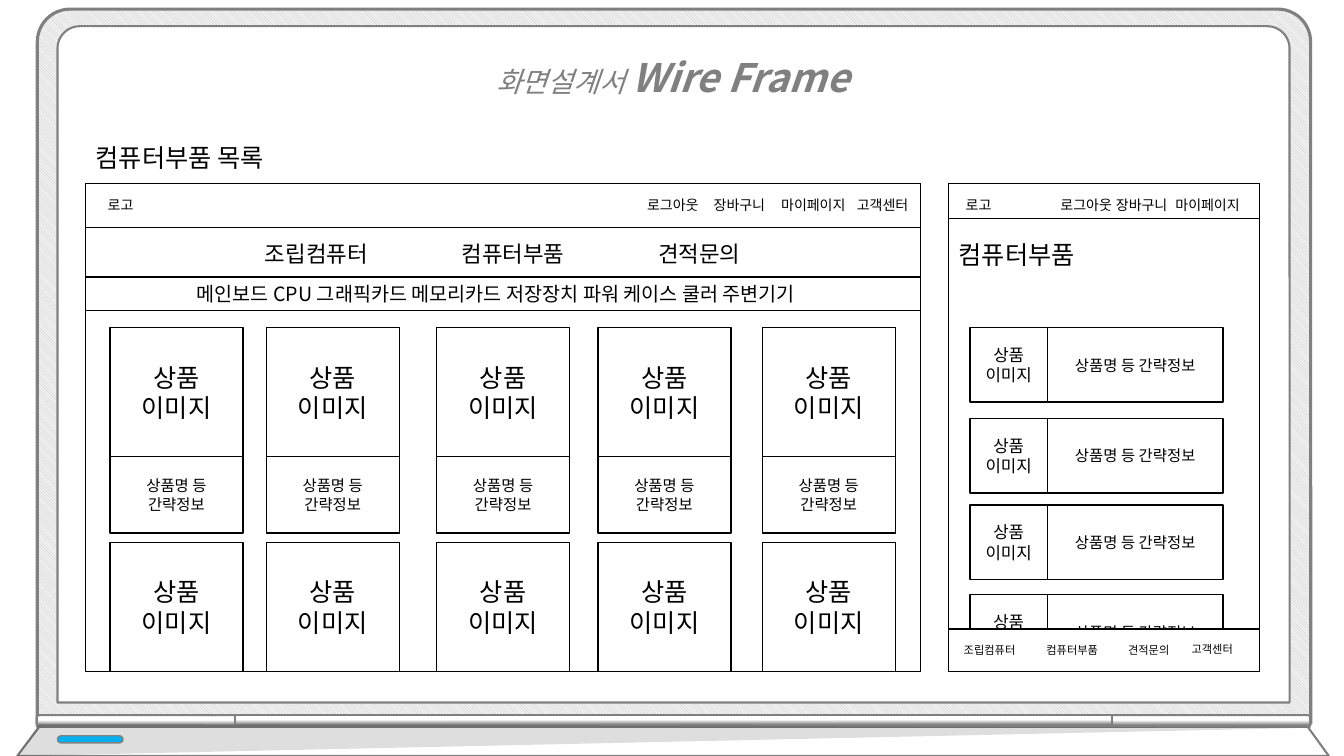
from lxml.etree import SubElement
from pptx import Presentation
from pptx.dml.color import RGBColor
from pptx.enum.dml import MSO_PATTERN_TYPE as PATTERN
from pptx.enum.shapes import MSO_CONNECTOR, MSO_SHAPE as SHAPE
from pptx.enum.text import MSO_ANCHOR as ANCHOR, MSO_AUTO_SIZE as AUTO, PP_ALIGN as ALIGN
from pptx.oxml.ns import qn
from pptx.util import Inches, Pt

# Content
TITLE = [("화면설계서 ", 20, False), ("Wire Frame", 28, True)]
HEADING = "컴퓨터부품 목록"
LOGO = "로고"
USER_MENU = ["로그아웃", "장바구니", "마이페이지", "고객센터"]
MAIN_MENU = ["조립컴퓨터", "컴퓨터부품", "견적문의"]
CATEGORIES = "메인보드 CPU 그래픽카드 메모리카드 저장장치 파워 케이스 쿨러 주변기기"
IMAGE = ["상품", "이미지"]
INFO = ["상품명 등 간략정보"]

FONT = "Noto Sans CJK KR"
COLORS = {"ink": "000000", "rule": "0D0D0D", "frame": "808080", "hatch": "BFBFBF",
          "shell": "F2F2F2", "paper": "FFFFFF", "light": "00B0F0"}

# Grid, in inches
TOP, PAGE_H = 1.82, 4.84
DESK_X, DESK_W = 0.85, 8.28
PHONE_X, PHONE_W = 9.41, 3.08
MENU_Y, CATEGORY_Y, CATEGORY_H = 2.33, 2.75, 0.33
CARD_COLS = [1.09, 2.64, 4.33, 5.93, 7.56]
CARD_W, IMAGE_H, INFO_H = 1.32, 1.28, 0.76
CARD_Y, NEXT_CARD_Y = 3.25, 5.38
ITEM_ROWS = [3.25, 4.15, 5.01, 5.9]
ITEM_X, ITEM_H, THUMB_W, ITEM_INFO_W = 9.62, 0.74, 0.77, 1.74
PHONE_MENU_X = 10.42
FOOTER = [(9.46, 6.33, 0.81), (10.28, 6.33, 0.77), (11.09, 6.33, 0.66), (11.72, 6.32, 0.86)]

prs = Presentation()
prs.slide_width, prs.slide_height = Inches(13.33), Inches(7.5)
s = prs.slides.add_slide(prs.slide_layouts[5])


def rgb(name):
    return RGBColor.from_string(COLORS[name])


def style(shape, fill=None, line=None, width=1):
    shape.shadow.inherit = False
    if fill:
        shape.fill.solid()
        shape.fill.fore_color.rgb = rgb(fill)
    else:
        shape.fill.background()
    if line:
        shape.line.color.rgb = rgb(line)
        shape.line.width = Pt(width)
    else:
        shape.line.fill.background()
    return shape


def box(kind, x, y, w, h, fill=None, line="ink", width=1, adj=()):
    sp = s.shapes.add_shape(kind, Inches(x), Inches(y), Inches(w), Inches(h))
    for i, value in enumerate(adj):
        sp.adjustments[i] = value
    return style(sp, fill, line, width)


def set_font(p, size, color="ink"):
    p.font.size, p.font.name = Pt(size), FONT
    p.font.color.rgb = rgb(color)
    SubElement(p.font._element, qn("a:ea"), typeface=FONT)


def write(shape, lines, size, align=ALIGN.LEFT, tabs=()):
    tf = shape.text_frame
    tf.word_wrap = True
    for i, line in enumerate(lines):
        p = tf.add_paragraph() if i else tf.paragraphs[0]
        p.text, p.alignment = line, align
        if tabs:
            tab_list = SubElement(p._p.get_or_add_pPr(), qn("a:tabLst"))
            for pos in tabs:
                SubElement(tab_list, qn("a:tab"), pos=str(Inches(pos)), algn="l")
        set_font(p, size)
    return tf


def label(text, x, y, w, h, size, tabs=()):
    tb = s.shapes.add_textbox(Inches(x), Inches(y), Inches(w), Inches(h))
    write(tb, [text], size, tabs=tabs)


def cell(lines, x, y, w, h, size):
    tf = write(box(SHAPE.RECTANGLE, x, y, w, h), lines, size, ALIGN.CENTER)
    tf.vertical_anchor = ANCHOR.MIDDLE


def rule(x1, x2, y, color):
    ln = s.shapes.add_connector(MSO_CONNECTOR.STRAIGHT, Inches(x1), Inches(y), Inches(x2), Inches(y))
    ln.line.color.rgb, ln.line.width = rgb(color), Pt(0.5)
    SubElement(ln._element.spPr, qn("a:effectLst"))


def outline(points, fill, line=None):
    points = [(Inches(x), Inches(y)) for x, y in points]
    builder = s.shapes.build_freeform(*points[0])
    builder.add_line_segments(points[1:], close=True)
    return style(builder.convert_to_shape(), fill, line, 1.5)


# Laptop lid and screen
lid = box(SHAPE.ROUND_2_SAME_RECTANGLE, 0.37, 0.09, 12.63, 7.09, "shell", "frame", 2.25, (0.046, 0))
lid.fill.patterned()
lid.fill.pattern = PATTERN.LIGHT_DOWNWARD_DIAGONAL
lid.fill.fore_color.rgb, lid.fill.back_color.rgb = rgb("hatch"), rgb("shell")
box(SHAPE.ROUND_2_SAME_RECTANGLE, 0.57, 0.26, 12.22, 6.71, "paper", "frame", 1.5, (0.033, 0))

# Hinge: left end, right end, middle
for x, y, length, turn, corner in [(1.29, 6.17, 1.97, 270, 0.193), (11.95, 6.17, 1.97, 90, 0.193),
                                   (6.62, 2.8, 8.7, 270, 0)]:
    hinge = box(SHAPE.ROUND_2_SAME_RECTANGLE, x, y, 0.12, length, "paper", "frame", 1.5, (corner, 0))
    hinge.rotation = turn
    if turn == 90:
        hinge._element.spPr.xfrm.set("flipH", "1")
    hinge.fill.gradient()
    hinge.fill.gradient_angle = 0
    for stop, (pos, color) in zip(hinge.fill.gradient_stops, [(0.17, "frame"), (0.59, "paper")]):
        stop.position, stop.color.rgb = pos, rgb(color)

# Base, its shade and the power light
outline([(0.39, 7.21), (12.97, 7.21), (13.18, 7.5), (0.17, 7.5)], "paper", "frame")
shade = outline([(0.39, 7.18), (0.17, 7.5), (13.02, 7.22)], "ink")
SubElement(shade._element.spPr.find(qn("a:solidFill"))[0], qn("a:alpha"), val="13000")
box(SHAPE.ROUNDED_RECTANGLE, 0.57, 7.3, 0.65, 0.07, "light", "frame", 1, (0.5,))

# Title
title = s.shapes.title
title.left, title.top, title.width, title.height = map(Inches, (3.67, 0.25, 6, 0.81))
tf = title.text_frame
tf.auto_size, tf.word_wrap, tf.vertical_anchor = AUTO.NONE, True, ANCHOR.TOP
p = tf.paragraphs[0]
p.alignment, p.line_spacing = ALIGN.CENTER, 1.5
set_font(p, 20, "frame")
p.font.italic = True
for text, size, bold in TITLE:
    r = p.add_run()
    r.text, r.font.size, r.font.bold = text, Pt(size), bold
s.shapes._spTree.append(title._element)

# Desktop page
label(HEADING, DESK_X, 1.36, 3.11, 0.4, 18)
for height in (PAGE_H, 0.44):
    box(SHAPE.RECTANGLE, DESK_X, TOP, DESK_W, height, "paper")
label(LOGO, 0.97, 1.9, 2.41, 0.27, 10)
label("\t".join(USER_MENU), 6.32, 1.9, 2.81, 0.27, 10, (0.66, 1.33, 2.08))
label("\t".join(MAIN_MENU), 2.53, MENU_Y, 6.6, 0.37, 16, (1.95, 3.9))
rule(DESK_X, 9.11, CATEGORY_Y, "rule")
bar = box(SHAPE.RECTANGLE, DESK_X, CATEGORY_Y, DESK_W, CATEGORY_H)
tf = write(bar, [CATEGORIES], 14)
tf.margin_left, tf.vertical_anchor = Inches(1.1), ANCHOR.MIDDLE
for x in CARD_COLS:
    cell(IMAGE, x, CARD_Y, CARD_W, IMAGE_H, 18)
    cell(INFO, x, CARD_Y + IMAGE_H, CARD_W, INFO_H, 11)
    cell(IMAGE, x, NEXT_CARD_Y, CARD_W, IMAGE_H, 18)

# Phone page
box(SHAPE.RECTANGLE, PHONE_X, TOP, PHONE_W, PAGE_H, "paper")
label(LOGO, 9.48, 1.9, 0.52, 0.27, 10)
label("\t".join(USER_MENU[:3]), PHONE_MENU_X, 1.9, PHONE_X + PHONE_W - PHONE_MENU_X, 0.27, 10,
      (0.55, 1.14))
rule(PHONE_X, PHONE_X + PHONE_W, 2.17, "ink")
label(MAIN_MENU[1], PHONE_X, MENU_Y, 2.29, 0.4, 18)
for y in ITEM_ROWS:
    cell(IMAGE, ITEM_X, y, THUMB_W, ITEM_H, 12)
    cell(INFO, ITEM_X + THUMB_W, y, ITEM_INFO_W, ITEM_H, 11)

# Phone footer, over the last item
box(SHAPE.RECTANGLE, PHONE_X, 6.24, PHONE_W, 0.42, "paper")
for text, (x, y, w) in zip(MAIN_MENU + USER_MENU[3:], FOOTER):
    label(text, x, y, w, 0.24, 8)

prs.save("out.pptx")
